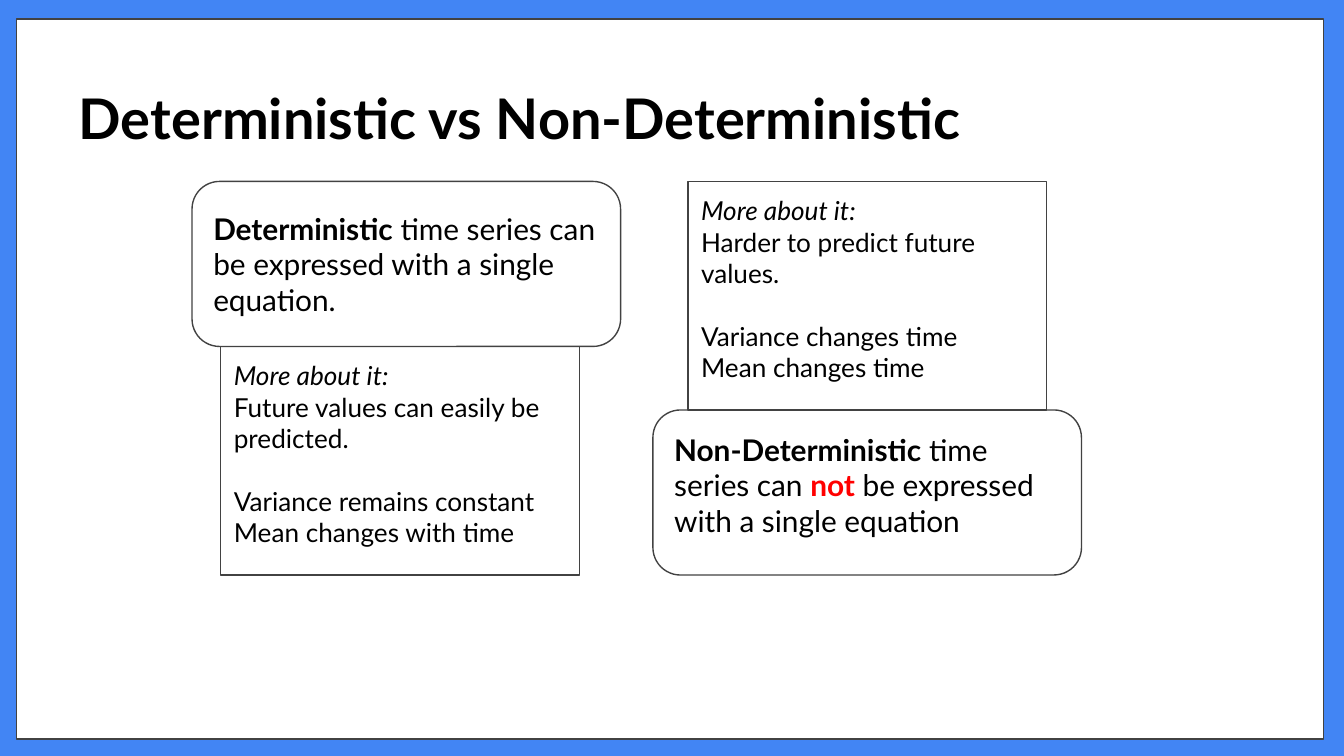
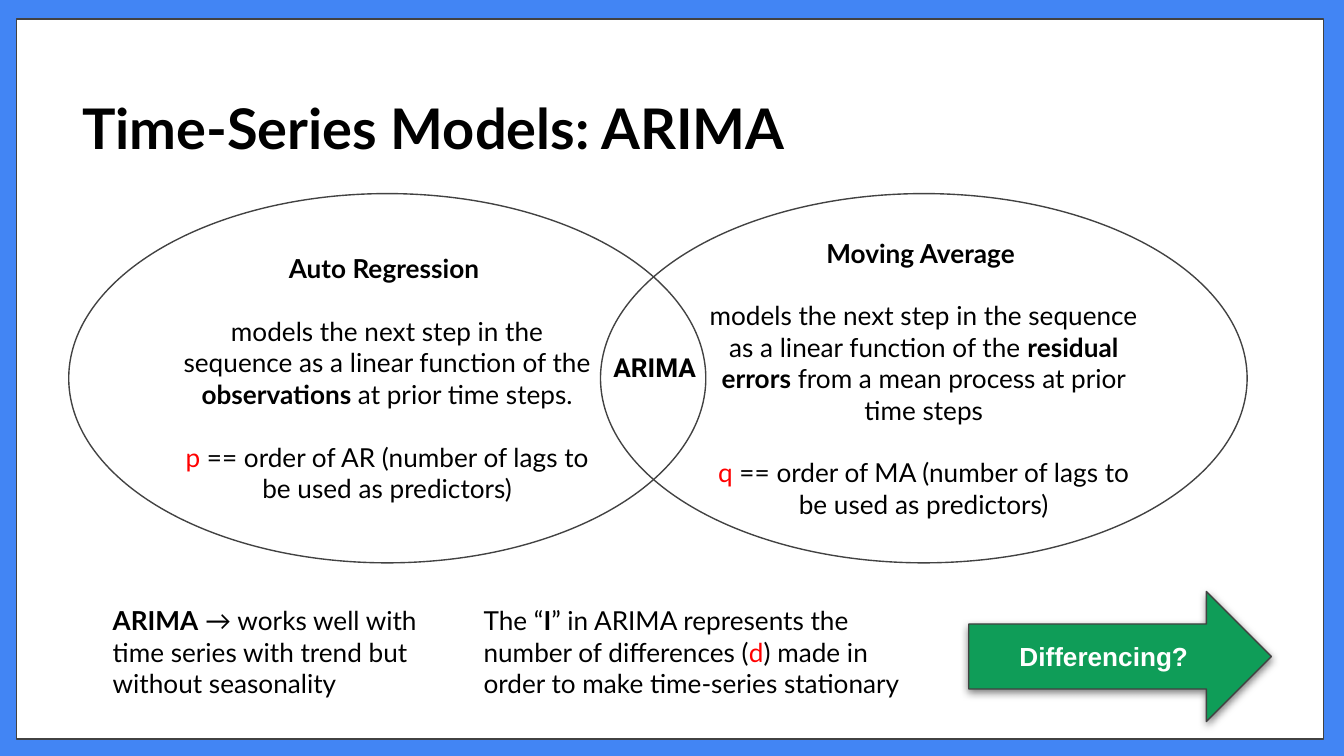
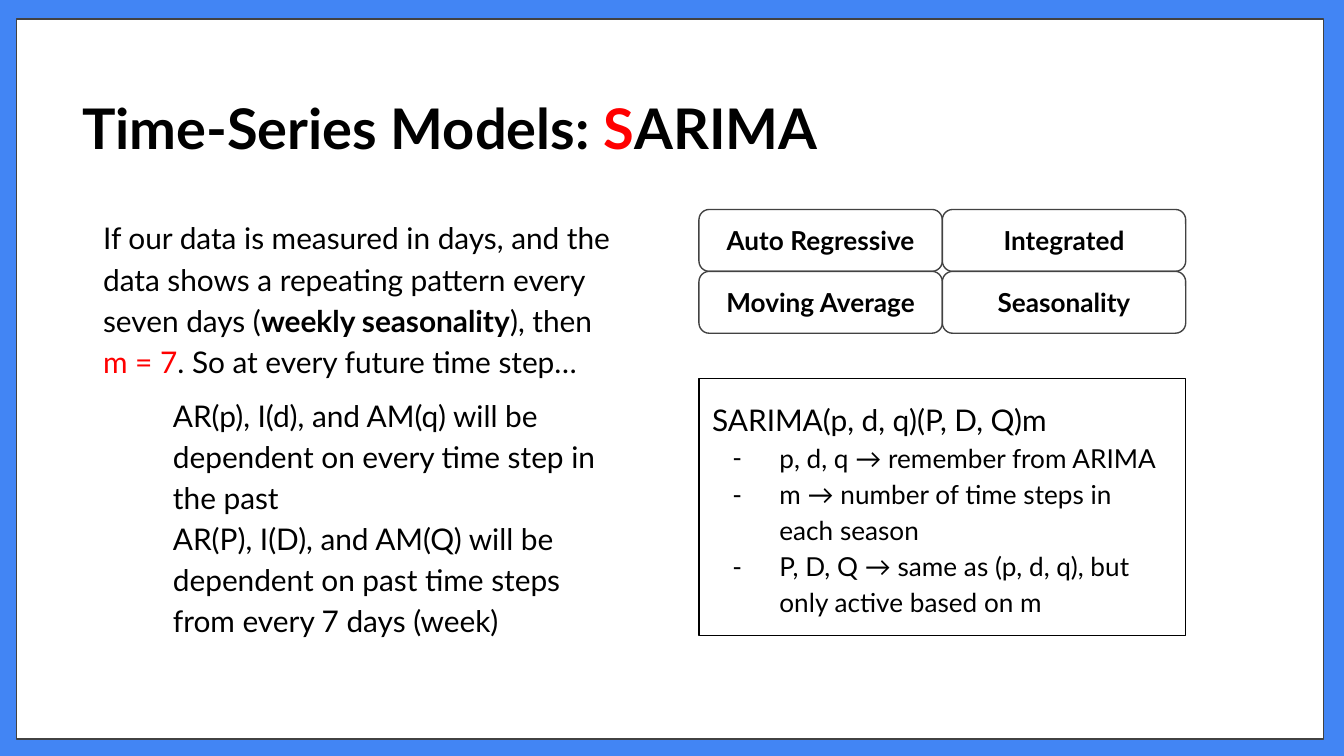
import dataclasses
import typing

import lxml.etree
import pptx
import pptx.dml.color
import pptx.enum.shapes
import pptx.enum.text
import pptx.oxml.ns
import pptx.presentation
import pptx.shapes.autoshape
import pptx.slide
import pptx.text.text
import pptx.util

Cm = pptx.util.Cm
Pt = pptx.util.Pt
RGBColor = pptx.dml.color.RGBColor
Shape = pptx.enum.shapes.MSO_SHAPE
Anchor = pptx.enum.text.MSO_ANCHOR
Align = pptx.enum.text.PP_ALIGN
qn = pptx.oxml.ns.qn

BLUE = RGBColor(0x42, 0x85, 0xF4)
GREEN = RGBColor(0x0F, 0x9D, 0x58)
RED = RGBColor(0xFF, 0x00, 0x00)
GREY = RGBColor(0x42, 0x42, 0x42)
BLACK = RGBColor(0x00, 0x00, 0x00)
WHITE = RGBColor(0xFF, 0xFF, 0xFF)

TITLE_ONLY, TITLE_AND_BODY = 5, 1
INSET = Cm(0.25)
BLANK_LINE = 16.8


class Span(typing.NamedTuple):
    text: str
    bold: bool | None = None
    color: RGBColor | None = None


class Area(typing.NamedTuple):
    left: float
    top: float
    width: float
    height: float


@dataclasses.dataclass(frozen=True)
class Para:
    spans: tuple[Span, ...]
    size: float = 14
    font: str = "Lato"
    color: RGBColor = BLACK
    bold: bool | None = None
    italic: bool | None = None
    align: Align = Align.LEFT
    before: float = 0
    spacing: float = 1.0
    bullet: str | None = None


@dataclasses.dataclass(frozen=True)
class Box:
    area: Area
    paras: tuple[Para, ...] = ()
    kind: Shape | None = None
    fill: RGBColor | None = None
    line: RGBColor = GREY
    anchor: Anchor = Anchor.TOP
    shadow: bool = False


def plain(text: str, **style: typing.Any) -> Para:
    return Para((Span(text),), **style)


def set_bullet(para: pptx.text.text._Paragraph, bullet: str | None) -> None:
    properties = para._p.get_or_add_pPr()
    if bullet is None:
        properties.set("marL", "0")
        properties.set("indent", "0")
        lxml.etree.SubElement(properties, qn("a:buNone"))
        return
    properties.set("marL", str(Cm(1.27)))
    properties.set("indent", str(Cm(-0.89)))
    color = lxml.etree.SubElement(properties, qn("a:buClr"))
    lxml.etree.SubElement(color, qn("a:srgbClr"), val=str(BLACK))
    lxml.etree.SubElement(properties, qn("a:buFont"), typeface="Lato")
    lxml.etree.SubElement(properties, qn("a:buChar"), char=bullet)


def write_para(target: pptx.text.text._Paragraph, para: Para) -> None:
    target.alignment = para.align
    target.line_spacing = para.spacing
    target.space_before = Pt(para.before)
    target.space_after = Pt(0)
    set_bullet(target, para.bullet)
    target.font.name = para.font
    target.font.size = Pt(para.size)
    target.font.bold = para.bold
    target.font.italic = para.italic
    target.font.color.rgb = para.color
    for span in para.spans:
        run = target.add_run()
        run.text = span.text
        if span.bold is not None:
            run.font.bold = span.bold
        if span.color is not None:
            run.font.color.rgb = span.color


def write_text(
    frame: pptx.text.text.TextFrame, paras: tuple[Para, ...], anchor: Anchor
) -> None:
    frame.word_wrap = True
    frame.auto_size = pptx.enum.text.MSO_AUTO_SIZE.NONE
    frame.vertical_anchor = anchor
    frame.margin_left = frame.margin_right = INSET
    frame.margin_top = frame.margin_bottom = INSET
    for index, para in enumerate(paras):
        target = frame.add_paragraph() if index else frame.paragraphs[0]
        write_para(target, para)


def paint(shape: pptx.shapes.autoshape.Shape, box: Box) -> None:
    if box.fill is None:
        shape.fill.background()
    else:
        shape.fill.solid()
        shape.fill.fore_color.rgb = box.fill
    shape.line.color.rgb = box.line
    shape.line.width = Pt(0.75)
    shape.shadow.inherit = False
    if box.shadow:
        effects = shape.element.spPr.find(qn("a:effectLst"))
        shadow = lxml.etree.SubElement(
            effects, qn("a:outerShdw"), blurRad=str(Pt(4.5)),
            dist=str(Pt(1.5)), dir="5400000", algn="bl", rotWithShape="0",
        )
        color = lxml.etree.SubElement(shadow, qn("a:srgbClr"), val=str(BLACK))
        lxml.etree.SubElement(color, qn("a:alpha"), val="50000")


def draw_box(page: pptx.slide.Slide, box: Box) -> pptx.shapes.autoshape.Shape:
    area = [Cm(length) for length in box.area]
    if box.kind is None:
        shape = page.shapes.add_textbox(*area)
    else:
        shape = page.shapes.add_shape(box.kind, *area)
        paint(shape, box)
    write_text(shape.text_frame, box.paras, box.anchor)
    return shape


def fill_placeholder(shape: pptx.shapes.autoshape.Shape, box: Box) -> None:
    shape.left, shape.top, shape.width, shape.height = (
        Cm(length) for length in box.area
    )
    write_text(shape.text_frame, box.paras, box.anchor)


def add_page(
    deck: pptx.presentation.Presentation,
    layout: int,
    spans: tuple[Span, ...],
    area: Area = Area(1.3, 1.17, 14.88, 2.46),
    anchor: Anchor = Anchor.MIDDLE,
) -> pptx.slide.Slide:
    page = deck.slides.add_slide(deck.slide_layouts[layout])
    title = Para(spans, size=30, bold=True)
    fill_placeholder(page.shapes.title, Box(area, (title,), anchor=anchor))
    return page


def style_master(
    deck: pptx.presentation.Presentation, page: pptx.slide.Slide
) -> None:
    master = deck.slide_master
    master.background.fill.solid()
    master.background.fill.fore_color.rgb = BLUE
    panel = draw_box(
        page, Box(Area(0.31, 0.36, 24.71, 13.61), kind=Shape.RECTANGLE, fill=WHITE)
    )
    panel.element.nvSpPr.cNvPr.set("id", "20")
    master.shapes.element.insert(2, panel.element)


def draw_comparison(deck: pptx.presentation.Presentation) -> None:
    page = add_page(
        deck, TITLE_ONLY, (Span("Deterministic vs Non-Deterministic"),),
        Area(1.24, 1.32, 20.9, 2.01), Anchor.TOP,
    )
    style_master(deck, page)
    top, definition_height, detail_height = 3.43, 3.12, 4.32
    definitions = (
        (3.63, top, Anchor.MIDDLE, (
            Span("Deterministic", bold=True),
            Span(" time series can be expressed with a single equation."),
        )),
        (12.34, top + detail_height, Anchor.TOP, (
            Span("Non-Deterministic", bold=True),
            Span(" time series can "),
            Span("not", bold=True, color=RED),
            Span(" be expressed with a single equation"),
        )),
    )
    for left, box_top, anchor, spans in definitions:
        draw_box(page, Box(
            Area(left, box_top, 8.1, definition_height), (Para(spans, size=16),),
            Shape.ROUNDED_RECTANGLE, WHITE, anchor=anchor,
        ))
    details = (
        (4.17, top + definition_height, "Future values can easily be predicted.",
         "Variance remains constant", "Mean changes with time"),
        (13.0, top, "Harder to predict future values.",
         "Variance changes time", "Mean changes time"),
    )
    for left, box_top, prediction, variance, mean in details:
        paras = (
            plain("More about it:", italic=True),
            plain(prediction),
            plain(variance, before=BLANK_LINE),
            plain(mean),
        )
        draw_box(page, Box(
            Area(left, box_top, 6.78, detail_height), paras, Shape.RECTANGLE
        ))


def draw_arima(deck: pptx.presentation.Presentation) -> None:
    page = add_page(deck, TITLE_ONLY, (Span("Time-Series Models: ARIMA"),))
    models = (
        (1.3, 12.04, WHITE, "Auto Regression ", "observations ",
         "at prior time steps.", "p", "AR"),
        (11.35, 12.22, None, "Moving Average ", "residual errors",
         " from a mean process at prior time steps", "q", "MA"),
    )
    for left, width, fill, name, basis, ending, symbol, short in models:
        paras = (
            plain(name, bold=True, align=Align.CENTER),
            Para((
                Span("models the next step in the sequence as a linear function of the "),
                Span(basis, bold=True),
                Span(ending),
            ), align=Align.CENTER, before=BLANK_LINE),
            Para((
                Span(symbol, color=RED),
                Span(f" == order of {short} (number of lags to be used as predictors)"),
            ), align=Align.CENTER, before=BLANK_LINE),
        )
        draw_box(page, Box(
            Area(left, 3.66, width, 6.98), paras, Shape.OVAL, fill,
            anchor=Anchor.MIDDLE,
        ))
    overlap = plain("ARIMA", font="Roboto", bold=True, align=Align.CENTER)
    draw_box(page, Box(
        Area(11.13, 6.3, 2.49, 1.27), (overlap,), anchor=Anchor.MIDDLE
    ))
    notes_top = 11.18
    usage = Para((
        Span("ARIMA", bold=True),
        Span(" → works well with time series with trend but without seasonality"),
    ))
    draw_box(page, Box(Area(1.88, notes_top, 6.25, 1.8), (usage,)))
    differences = Para((
        Span("The “"),
        Span("I", bold=True),
        Span("” in ARIMA represents the number of differences ("),
        Span("d", color=RED),
        Span(") made in order to make time-series stationary"),
    ))
    draw_box(page, Box(Area(8.89, notes_top, 8.51, 2.29), (differences,)))
    question = plain(
        "Differencing?", font="Arial", color=WHITE, bold=True, align=Align.CENTER
    )
    draw_box(page, Box(
        Area(18.31, notes_top, 5.72, 2.46), (question,), Shape.RIGHT_ARROW, GREEN,
        anchor=Anchor.MIDDLE, shadow=True,
    ))


def draw_sarima(deck: pptx.presentation.Presentation) -> None:
    page = add_page(deck, TITLE_AND_BODY, (
        Span("Time-Series Models: "), Span("S", color=RED), Span("ARIMA"),
    ))
    intro = Para((
        Span(
            "If our data is measured in days, and the data shows a repeating "
            "pattern every seven days ("
        ),
        Span("weekly seasonality", bold=True),
        Span("), then "),
        Span("m = 7", color=RED),
        Span(". So at every future time step…"),
    ), size=16, spacing=1.15)
    draw_box(page, Box(Area(1.7, 3.81, 10.24, 3.33), (intro,)))
    lower_top, lower_height = 7.16, 4.85
    steps = tuple(plain(text, size=16, spacing=1.15) for text in (
        "AR(p), I(d), and AM(q) will be dependent on every time step in the past",
        "AR(P), I(D), and AM(Q) will be dependent on past time steps from every 7 days (week)",
    ))
    draw_box(page, Box(Area(3.02, lower_top, 8.92, lower_height), steps))

    left, top, width, height = 13.21, 3.96, 4.6, 1.17
    parts = ("Auto Regressive", "Integrated", "Moving Average", "Seasonality")
    for index, part in enumerate(parts):
        row, column = divmod(index, 2)
        draw_box(page, Box(
            Area(left + column * width, top + row * height, width, height),
            (plain(part, bold=True, align=Align.CENTER),),
            Shape.ROUNDED_RECTANGLE, WHITE, anchor=Anchor.MIDDLE,
        ))
    terms = tuple(plain(text, spacing=1.15, bullet="-") for text in (
        "p, d, q → remember from ARIMA",
        "m → number of time steps in each season",
        "P, D, Q → same as (p, d, q), but only active based on m",
    ))
    formula = plain("SARIMA(p, d, q)(P, D, Q)m", size=16, spacing=1.15)
    summary = Box(
        Area(left, lower_top, 2 * width, lower_height), (formula, *terms),
        fill=WHITE, line=BLACK, anchor=Anchor.MIDDLE,
    )
    body = page.placeholders[1]
    fill_placeholder(body, summary)
    paint(body, summary)


def main() -> None:
    deck = pptx.Presentation()
    deck.slide_width, deck.slide_height = Cm(25.4), Cm(14.29)
    draw_comparison(deck)
    draw_arima(deck)
    draw_sarima(deck)
    deck.save("out.pptx")


if __name__ == "__main__":
    main()
